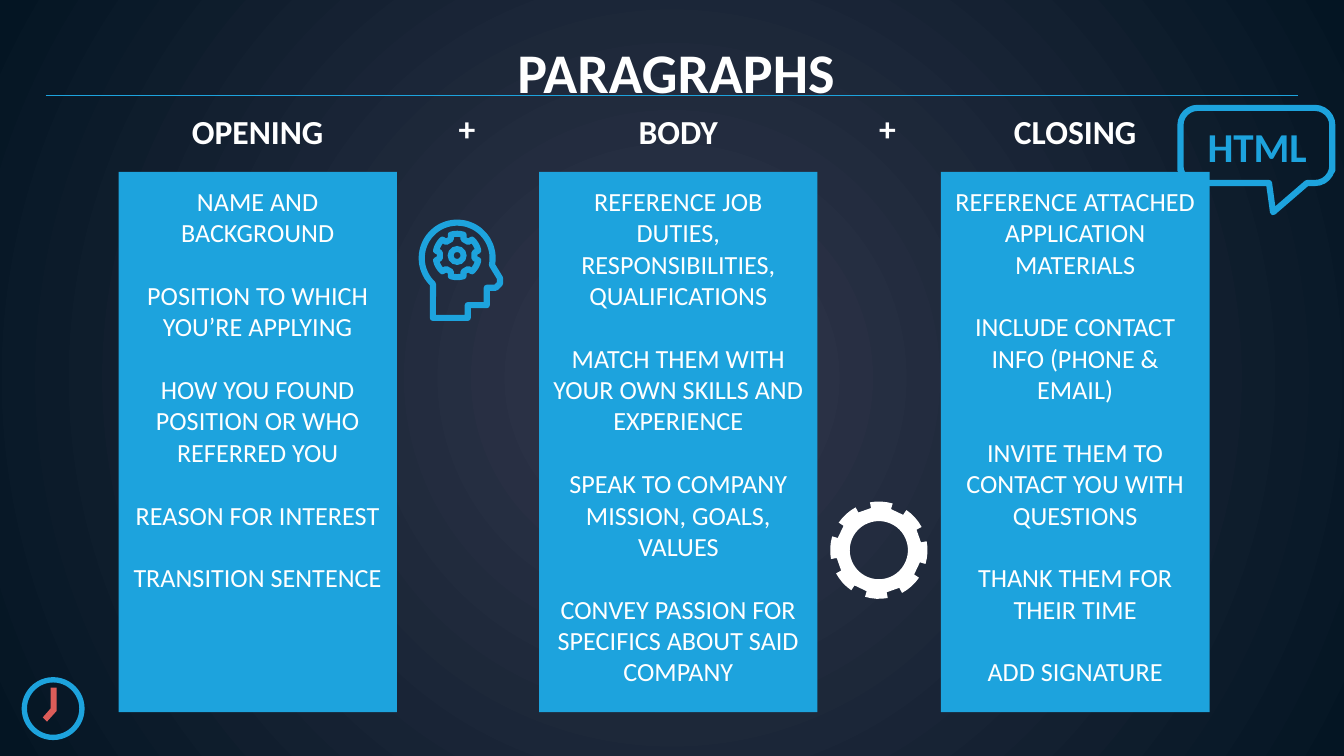
"""Builds a slide on the three paragraphs of a cover letter."""
from math import cos, radians, sin

from lxml import etree
from pptx import Presentation
from pptx.dml.color import RGBColor
from pptx.enum.shapes import MSO_CONNECTOR, MSO_SHAPE
from pptx.enum.text import MSO_ANCHOR, MSO_AUTO_SIZE, PP_ALIGN
from pptx.oxml.ns import qn
from pptx.util import Cm, Pt

BLUE = RGBColor(0x1D, 0xA3, 0xDD)
RED = RGBColor(0xDC, 0x5D, 0x59)
WHITE = RGBColor(0xFF, 0xFF, 0xFF)
SLATE = RGBColor(0x32, 0x37, 0x4C)
NIGHT = RGBColor(0x04, 0x15, 0x23)
TOP, MIDDLE, BOTTOM = MSO_ANCHOR.TOP, MSO_ANCHOR.MIDDLE, MSO_ANCHOR.BOTTOM
CENTER = PP_ALIGN.CENTER
NO_FIT = MSO_AUTO_SIZE.NONE
DONUT = MSO_SHAPE.DONUT
BUBBLE = MSO_SHAPE.ROUNDED_RECTANGULAR_CALLOUT
STRAIGHT = MSO_CONNECTOR.STRAIGHT

COLUMNS = [
    (1, 2.24, 5.26, "OPENING", [
        "NAME AND BACKGROUND",
        "POSITION TO WHICH YOU’RE APPLYING",
        "HOW YOU FOUND POSITION OR WHO REFERRED YOU",
        "REASON FOR INTEREST",
        "TRANSITION SENTENCE"]),
    (2, 10.19, 5.26, "BODY", [
        "REFERENCE JOB DUTIES, RESPONSIBILITIES, QUALIFICATIONS",
        "MATCH THEM WITH YOUR OWN SKILLS AND EXPERIENCE",
        "SPEAK TO COMPANY MISSION, GOALS, VALUES",
        "CONVEY PASSION FOR SPECIFICS ABOUT SAID COMPANY"]),
    (3, 17.78, 5.08, "CLOSING", [
        "REFERENCE ATTACHED APPLICATION MATERIALS",
        "INCLUDE CONTACT INFO (PHONE & EMAIL)",
        "INVITE THEM TO CONTACT YOU WITH QUESTIONS",
        "THANK THEM FOR THEIR TIME",
        "ADD SIGNATURE"]),
]


def polar(x, y, radius, angle):
    return x + radius * cos(radians(angle)), y + radius * sin(radians(angle))


def arc(x, y, radius, start, end, steps=48):
    return [polar(x, y, radius, start + (end - start) * i / steps)
            for i in range(steps + 1)]


def gear(x, y, teeth, tip, root, crest, base, tilt=0):
    points = []
    for i in range(teeth):
        mid = 360 * i / teeth - 90 + tilt
        points.append(polar(x, y, root, mid - base))
        points += arc(x, y, tip, mid - crest, mid + crest, 4)
        points.append(polar(x, y, root, mid + base))
    return points


class Deck:
    """Holds the style and the current slide."""

    font = "Calibri"
    inset = Cm(0.25)
    stroke = Pt(3.3)

    def __init__(self, slide):
        self.slide = slide
        self.shapes = slide.shapes

    def backdrop(self, inner, outer):
        fill = self.slide.background.fill
        fill.gradient()
        for stop, color in zip(fill.gradient_stops, (inner, outer)):
            stop.color.rgb = color
        grad = self.slide.element.find(".//" + qn("a:gradFill"))
        grad.remove(grad.find(qn("a:lin")))
        shade = etree.SubElement(grad, qn("a:path"), {"path": "circle"})
        etree.SubElement(shade, qn("a:fillToRect"),
                         dict.fromkeys("ltrb", "50000"))

    def set_text(self, shape, lines, size, color, bold, anchor):
        frame = shape.text_frame
        frame.auto_size = NO_FIT
        frame.word_wrap = True
        frame.vertical_anchor = anchor
        frame.margin_left = frame.margin_right = self.inset
        frame.margin_top = frame.margin_bottom = self.inset
        frame.text = "\n".join(lines)
        for par in frame.paragraphs:
            props = par._p.get_or_add_pPr()
            props.set("marL", "0")
            props.set("indent", "0")
            etree.SubElement(props, qn("a:buNone"))
            par.alignment = CENTER
            par.space_before = Pt(0)
            font = par.font
            font.name, font.size, font.bold = self.font, Pt(size), bold
            font.color.rgb = color

    def place(self, shape, *box):
        shape.left, shape.top, shape.width, shape.height = map(Cm, box)

    def title(self, text, *box):
        shape = self.shapes.title
        self.place(shape, *box)
        self.set_text(shape, [text], 30, WHITE, True, MIDDLE)

    def panel(self, index, lines, *box):
        shape = self.slide.placeholders[index]
        self.place(shape, *box)
        shape.fill.solid()
        shape.fill.fore_color.rgb = BLUE
        self.set_text(shape, lines, 14, WHITE, False, TOP)
        for i, par in enumerate(shape.text_frame.paragraphs):
            par.line_spacing = Pt(16.8)
            par.space_before = Pt(16.8 if i else 0)

    def label(self, text, *box, size=18, color=WHITE, anchor=TOP):
        shape = self.shapes.add_textbox(*map(Cm, box))
        self.set_text(shape, [text], size, color, True, anchor)

    def paint(self, shape, color, hollow):
        shape.shadow.inherit = False
        if hollow:
            shape.fill.background()
            shape.line.color.rgb = color
            shape.line.width = self.stroke
        else:
            shape.fill.solid()
            shape.fill.fore_color.rgb = color
            shape.line.fill.background()

    def preset(self, kind, color, *box, adjust=(), hollow=False):
        shape = self.shapes.add_shape(kind, *map(Cm, box))
        for i, value in enumerate(adjust):
            shape.adjustments[i] = value
        self.paint(shape, color, hollow)

    def outline(self, color, *rings, hollow=False):
        rings = [[(Cm(x), Cm(y)) for x, y in ring] for ring in rings]
        pen = self.shapes.build_freeform(*rings[0][0])
        for i, ring in enumerate(rings):
            if i:
                pen.move_to(*ring[0])
            pen.add_line_segments(ring[1:], close=True)
        self.paint(pen.convert_to_shape(), color, hollow)

    def rule(self, *ends):
        line = self.shapes.add_connector(STRAIGHT, *map(Cm, ends))
        line.line.color.rgb = BLUE
        line.line.width = Pt(0.75)
        etree.SubElement(line._element.spPr, qn("a:effectLst"))


def main():
    show = Presentation()
    show.slide_width, show.slide_height = Cm(25.4), Cm(14.29)
    deck = Deck(show.slides.add_slide(show.slide_layouts[4]))
    deck.backdrop(SLATE, NIGHT)
    deck.title("PARAGRAPHS", 0.08, 0.08, 25.4, 2.51)
    for index, left, width, head, lines in COLUMNS:
        deck.panel(index, lines, left, 3.25, width, 10.21)
        deck.label(head, left, 2.57, width, 0.53, anchor=BOTTOM)
    spare = deck.slide.placeholders[4].element
    spare.getparent().remove(spare)

    deck.preset(DONUT, BLUE, 0.41, 12.8, 1.19, 1.19, adjust=[0.085])
    deck.outline(RED, [(0.96, 13), (0.96, 13.39), (0.81, 13.56),
                       (0.89, 13.64), (1.07, 13.44), (1.07, 13)])
    deck.outline(BLUE, arc(8.64, 4.88, 0.67, 133, 371) + [
        (9.45, 5.26), (9.45, 5.36), (9.37, 5.44), (9.2, 5.44), (9.2, 5.77),
        (8.84, 5.77), (8.84, 6.01), (8.18, 6.01)], hollow=True)
    deck.outline(BLUE, gear(8.64, 4.83, 6, 0.41, 0.33, 17, 21), hollow=True)
    deck.preset(DONUT, BLUE, 8.46, 4.65, 0.36, 0.36, adjust=[0.32])
    deck.outline(WHITE, gear(16.61, 10.4, 8, 0.92, 0.81, 13.5, 13.5, 3),
                 arc(16.61, 10.4, 0.55, 0, 360))

    deck.rule(0.86, 1.8, 24.54, 1.8)
    for left in (8.33, 16.28):
        deck.label("+", left, 1.8, 0.99, 0.91)
    deck.preset(BUBBLE, BLUE, 22.31, 2.04, 2.87, 1.42,
                adjust=[0.11, 0.89, 0.23], hollow=True)
    deck.label("HTML", 22.45, 2.16, 2.62, 1.19,
               size=22, color=BLUE, anchor=MIDDLE)
    show.save("out.pptx")


if __name__ == "__main__":
    main()
